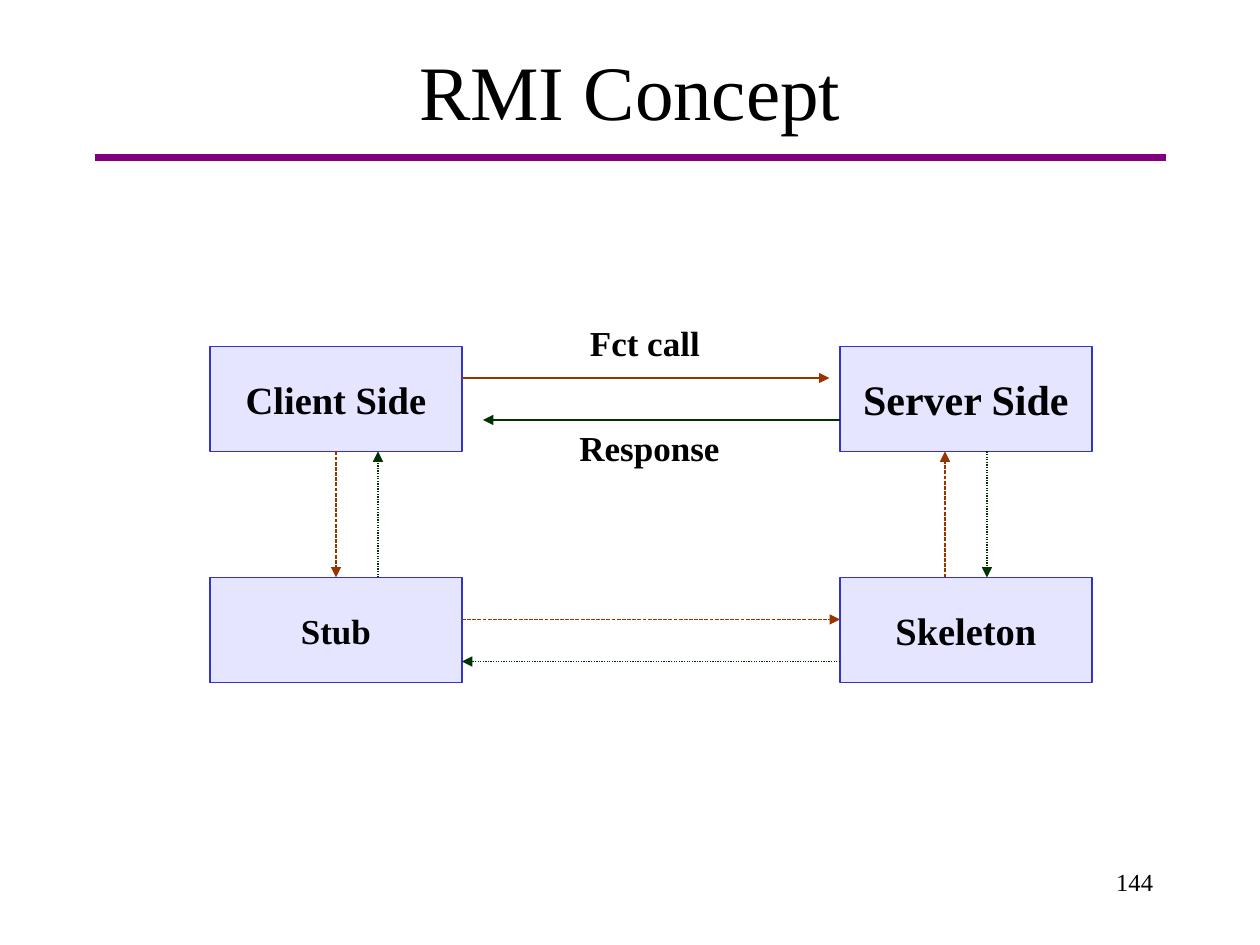
from lxml import etree
from pptx import Presentation
from pptx.dml.color import RGBColor
from pptx.enum.dml import MSO_LINE
from pptx.enum.shapes import MSO_CONNECTOR, MSO_SHAPE
from pptx.enum.text import MSO_ANCHOR, PP_ALIGN
from pptx.oxml.ns import qn
from pptx.util import Inches, Pt

STRAIGHT = MSO_CONNECTOR.STRAIGHT
RECTANGLE = MSO_SHAPE.RECTANGLE
MIDDLE = MSO_ANCHOR.MIDDLE
LEFT, CENTER, RIGHT = PP_ALIGN.LEFT, PP_ALIGN.CENTER, PP_ALIGN.RIGHT
DOTTED, DASHED = MSO_LINE.ROUND_DOT, MSO_LINE.SQUARE_DOT
TITLE_ONLY = 5

COLORS = {
    "text": "000000",
    "rule": "800080",
    "box": "CCCCFF",
    "border": "3333CC",
    "call": "993300",
    "response": "003300",
}
COLUMNS, ROWS = 120, 90
BOX_WIDTH, BOX_HEIGHT = 24, 10
CLIENT, SERVER = 20, 80
UPPER, LOWER = 33, 55
CLIENT_EDGE = CLIENT + BOX_WIDTH
UPPER_EDGE = UPPER + BOX_HEIGHT


class DiagramSlide:
    font = "Times New Roman"

    def __init__(self, presentation):
        self.column = presentation.slide_width / COLUMNS
        self.row = presentation.slide_height / ROWS
        self.slide = presentation.slides.add_slide(
            presentation.slide_layouts[TITLE_ONLY])

    def place(self, x, y):
        return round(x * self.column), round(y * self.row)

    def set_text(self, shape, text, size, align, bold=False):
        frame = shape.text_frame
        frame.text = text
        paragraph = frame.paragraphs[0]
        paragraph.alignment = align
        font = paragraph.runs[0].font
        font.name, font.size, font.bold = self.font, Pt(size), bold
        font.color.rgb = RGBColor.from_string(COLORS["text"])

    def title(self, text, x, y, width, height):
        shape = self.slide.shapes.title
        shape.left, shape.top = self.place(x, y)
        shape.width, shape.height = self.place(width, height)
        shape.text_frame.vertical_anchor = MIDDLE
        self.set_text(shape, text, 44, CENTER)

    def label(self, text, x, y, width, height, size, align=LEFT, bold=True):
        shape = self.slide.shapes.add_textbox(
            *self.place(x, y), *self.place(width, height))
        shape.text_frame.word_wrap = True
        self.set_text(shape, text, size, align, bold)

    def box(self, text, x, y, size):
        shape = self.slide.shapes.add_shape(
            RECTANGLE, *self.place(x, y), *self.place(BOX_WIDTH, BOX_HEIGHT))
        shape.shadow.inherit = False
        shape.fill.solid()
        shape.fill.fore_color.rgb = RGBColor.from_string(COLORS["box"])
        color = shape._element.spPr.find(qn("a:solidFill")).find(qn("a:srgbClr"))
        etree.SubElement(color, qn("a:alpha"), val="50000")
        shape.line.color.rgb = RGBColor.from_string(COLORS["border"])
        shape.line.width = Pt(0.75)
        shape.text_frame.word_wrap = False
        shape.text_frame.vertical_anchor = MIDDLE
        self.set_text(shape, text, size, CENTER, True)

    def line(self, start, end, color, width):
        connector = self.slide.shapes.add_connector(
            STRAIGHT, *self.place(*start), *self.place(*end))
        connector.line.color.rgb = RGBColor.from_string(COLORS[color])
        connector.line.width = Pt(width)
        etree.SubElement(connector._element.spPr, qn("a:effectLst"))
        return connector

    def arrow(self, start, end, color, dash=None):
        connector = self.line(start, end, color, 0.75)
        if dash is not None:
            connector.line.dash_style = dash
        outline = connector._element.spPr.find(qn("a:ln"))
        etree.SubElement(outline, qn("a:tailEnd"), type="triangle")


def main():
    presentation = Presentation()
    presentation.slide_width, presentation.slide_height = Inches(10), Inches(7.5)
    diagram = DiagramSlide(presentation)

    diagram.line((9, 15), (111, 15), "rule", 4.5)
    diagram.title("RMI Concept", 9, 3, 102, 11)
    diagram.label("144", 86, 82, 25, 6, 14, RIGHT, False)

    for text, x, y, size in (
        ("Client Side", CLIENT, UPPER, 22),
        ("Server Side", SERVER, UPPER, 24),
        ("Stub", CLIENT, LOWER, 20),
        ("Skeleton", SERVER, LOWER, 22),
    ):
        diagram.box(text, x, y, size)

    diagram.label("Fct call", 55, 30, 15, 5.25, 20)
    diagram.label("Response", 54, 40, 18, 5.25, 20)

    diagram.arrow((CLIENT_EDGE, 36), (SERVER - 1, 36), "call")
    diagram.arrow((SERVER, 40), (CLIENT_EDGE + 2, 40), "response")

    for start, end in (
        ((32, UPPER_EDGE), (32, LOWER)),
        ((CLIENT_EDGE, 59), (SERVER, 59)),
        ((90, LOWER), (90, UPPER_EDGE)),
    ):
        diagram.arrow(start, end, "call", DASHED)

    for start, end in (
        ((94, UPPER_EDGE), (94, LOWER)),
        ((SERVER, 63), (CLIENT_EDGE, 63)),
        ((36, LOWER), (36, UPPER_EDGE)),
    ):
        diagram.arrow(start, end, "response", DOTTED)

    presentation.save("out.pptx")


if __name__ == "__main__":
    main()
